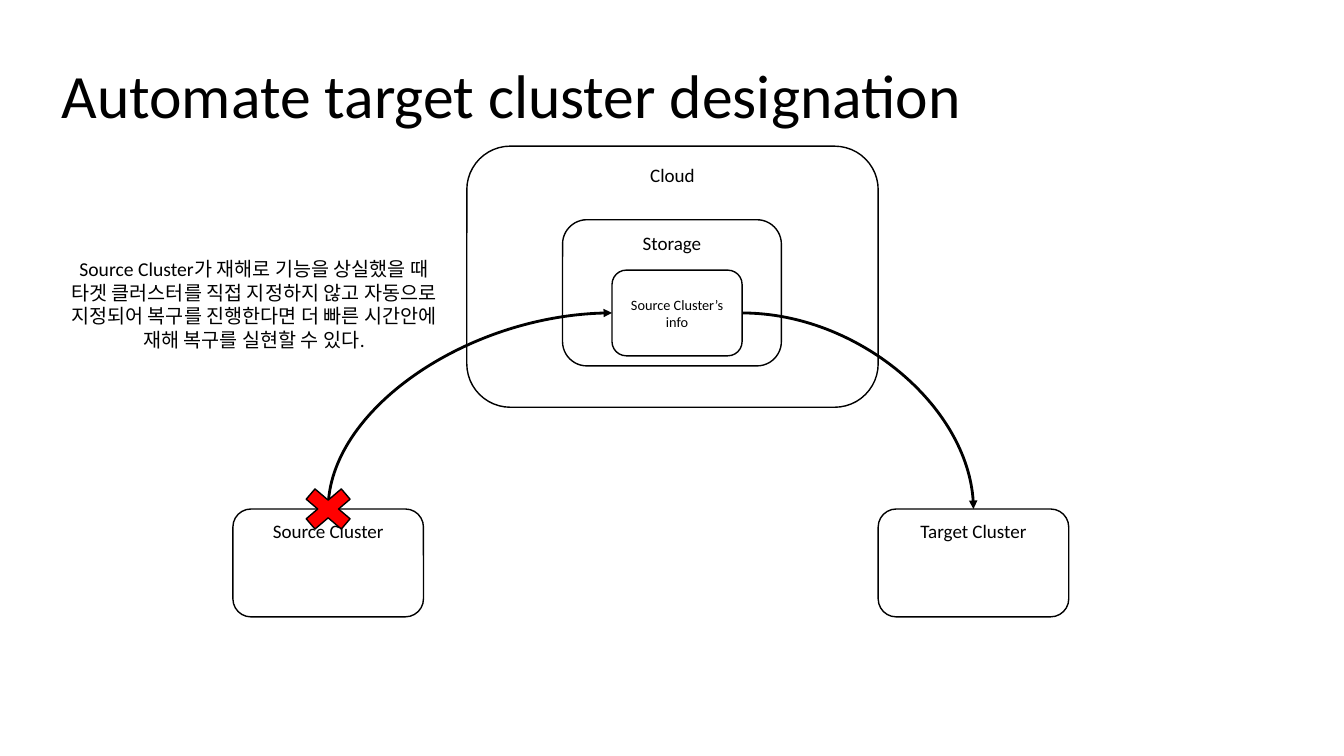
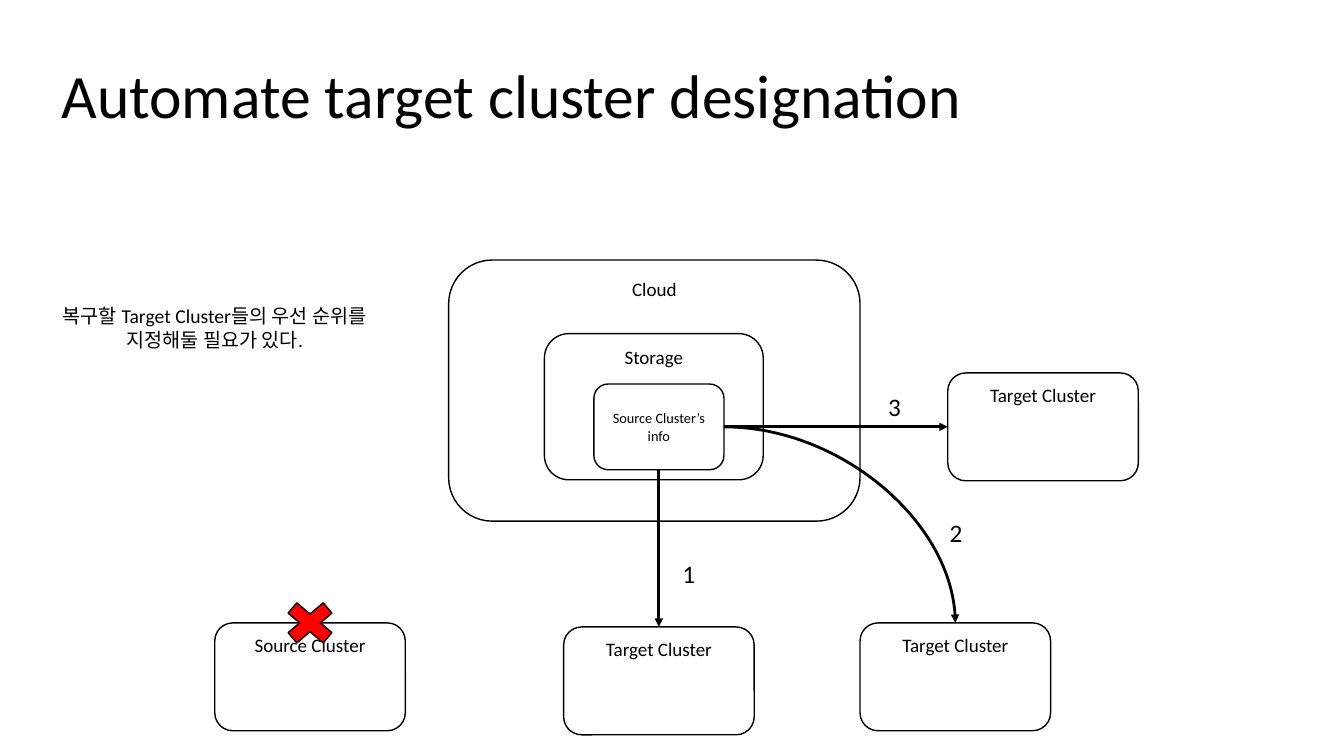
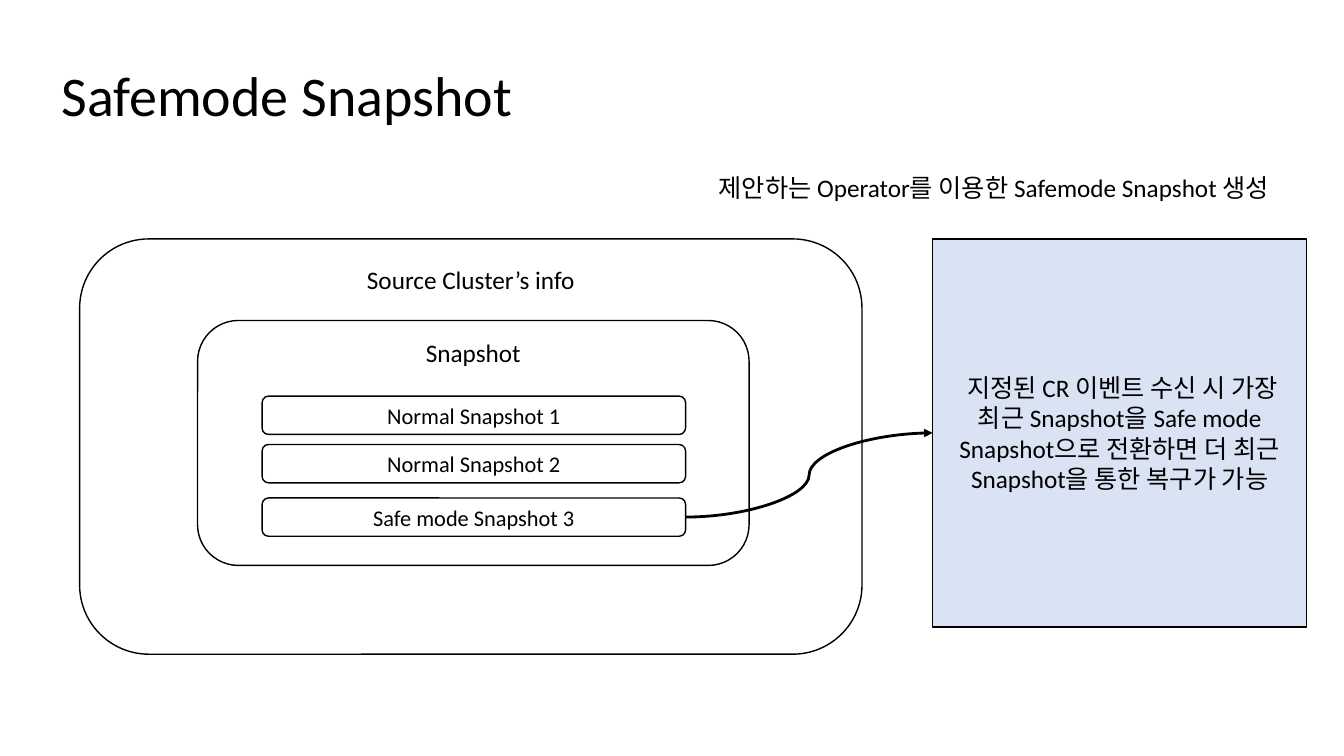
from dataclasses import dataclass

from lxml.etree import SubElement
from pptx import Presentation
from pptx.dml.color import RGBColor
from pptx.enum.shapes import MSO_CONNECTOR as Link, MSO_SHAPE as Shape
from pptx.enum.text import MSO_ANCHOR as Anchor, MSO_AUTO_SIZE as AutoSize, PP_ALIGN as Align
from pptx.oxml.ns import qn
from pptx.util import Inches, Pt


@dataclass(frozen=True)
class Theme:
    """Colours, font, type sizes and line widths of the deck."""
    ink: RGBColor = RGBColor(0, 0, 0)
    paper: RGBColor = RGBColor(255, 255, 255)
    alert: RGBColor = RGBColor(255, 0, 0)
    panel: RGBColor = RGBColor(0xDA, 0xE3, 0xF3)
    font: str = "Calibri"
    title: float = 44
    title_small: float = 40
    large: float = 18
    item: float = 16
    note: float = 14
    label: float = 13.6
    small: float = 10.2
    outline: float = 1
    arrow: float = 2


THEME = Theme()
TOP, LEFT, BOTTOM, RIGHT = range(4)  # connection sites of a rectangle

# Lengths in inches
TITLE_AREA = (0.51, 0.25, 11.5, 1.45)
CLUSTER_SIZE = (1.89, 1.07)
CROSS_SIZE = (0.67, 0.57)

DESIGNATION_TITLE = "Automate target cluster designation"
SOURCE, TARGET, INFO = "Source Cluster", "Target Cluster", "Source Cluster’s info"
SOURCE_AT, TARGET_AT = (2.31, 5.05), (8.71, 5.05)
CLOUD_LAYERS = [  # text, area, format
    ("Cloud", (4.63, 1.45, 4.08, 2.59), {}),
    ("Storage", (5.58, 2.18, 2.17, 1.45), {}),
    (INFO, (6.07, 2.68, 1.29, 0.85), {"size": THEME.small, "anchor": Anchor.MIDDLE}),
]

AUTOMATIC_NOTE = [
    "Source Cluster가 재해로 기능을 상실했을 때",
    "타겟 클러스터를 직접 지정하지 않고 자동으로",
    "지정되어 복구를 진행한다면 더 빠른 시간안에",
    "재해 복구를 실현할 수 있다.",
]
AUTOMATIC_NOTE_AREA = (0.42, 2.5, 4.2, 1.04)

PRIORITY_SHIFT = (-0.18, 1.13)
PRIORITY_NOTE = ["복구할 Target Cluster들의 우선 순위를", "지정해둘 필요가 있다."]
PRIORITY_NOTE_AREA = (0.43, 2.97, 3.4, 0.57)
FIRST_TARGET_AT, THIRD_TARGET_AT = (5.59, 6.22), (9.4, 3.7)
PRIORITIES = [("1", (6.67, 5.49)), ("2", (9.32, 5.08)), ("3", (8.71, 3.83))]
PRIORITY_SIZE = (0.33, 0.4)

SNAPSHOT_TITLE = "Safemode Snapshot"
SNAPSHOT_LAYERS = [(INFO, (0.79, 2.37, 7.76, 4.12)), ("Snapshot", (1.96, 3.18, 5.47, 2.43))]
SNAPSHOTS = [("Normal Snapshot 1", 3.93), ("Normal Snapshot 2", 4.41),
             ("Safe mode Snapshot 3", 4.94)]
SNAPSHOT_LEFT, SNAPSHOT_SIZE = 2.6, (4.2, 0.38)
CONVERSION = (" 지정된 CR 이벤트 수신 시 가장 최근 Snapshot을 Safe mode Snapshot으로 "
              "전환하면 더 최근 Snapshot을 통한 복구가 가능")
CONVERSION_AREA = (9.25, 2.37, 3.71, 3.85)
OPERATOR_NOTE = "제안하는 Operator를 이용한 Safemode Snapshot 생성"
OPERATOR_NOTE_AREA = (7.03, 1.66, 5.92, 0.4)


def inches(lengths):
    """Turn numbers into lengths."""
    return [Inches(length) for length in lengths]


def write(frame, lines, *, size, align=Align.CENTER, anchor=Anchor.TOP, wrap=True,
          fit=AutoSize.NONE, spacing=None):
    """Fill a text frame, one paragraph for each line."""
    frame.word_wrap, frame.auto_size, frame.vertical_anchor = wrap, fit, anchor
    for index, line in enumerate([lines] if isinstance(lines, str) else lines):
        paragraph = frame.add_paragraph() if index else frame.paragraphs[0]
        paragraph.alignment, paragraph.line_spacing = align, spacing
        run = paragraph.add_run()
        run.text = line
        run.font.size, run.font.name = Pt(size), THEME.font
        run.font.color.rgb = THEME.ink


def add_titled_slide(deck, title, size):
    """Add a title-only slide with the shared title style."""
    slide = deck.slides.add_slide(deck.slide_layouts[5])
    heading = slide.shapes.title
    heading.left, heading.top, heading.width, heading.height = inches(TITLE_AREA)
    write(heading.text_frame, title, size=size, align=Align.LEFT,
          anchor=Anchor.MIDDLE, spacing=0.9)
    return slide


def add_box(slide, text, area, *, kind=Shape.ROUNDED_RECTANGLE, fill=THEME.paper,
            size=THEME.label, **text_format):
    """Add an outlined shape, with text if there is any."""
    box = slide.shapes.add_shape(kind, *inches(area))
    box.shadow.inherit = False
    box.fill.solid()
    box.fill.fore_color.rgb = fill
    box.line.color.rgb, box.line.width = THEME.ink, Pt(THEME.outline)
    if text:
        write(box.text_frame, text, size=size, **text_format)
    return box


def add_note(slide, lines, area, *, wrap=False, **text_format):
    """Add free text that sizes its own box."""
    note = slide.shapes.add_textbox(*inches(area))
    write(note.text_frame, lines, wrap=wrap, fit=AutoSize.SHAPE_TO_FIT_TEXT, **text_format)


def add_arrow(slide, start, start_site, end, end_site, kind=Link.STRAIGHT, quarter=False):
    """Join two boxes with an arrow; quarter makes the curve a single bend."""
    arrow = slide.shapes.add_connector(kind, 0, 0, 0, 0)
    arrow.begin_connect(start, start_site)
    arrow.end_connect(end, end_site)
    arrow.line.color.rgb, arrow.line.width = THEME.ink, Pt(THEME.arrow)
    properties = arrow.element.spPr
    SubElement(properties.find(qn("a:ln")), qn("a:tailEnd"), type="triangle")
    SubElement(properties, qn("a:effectLst"))
    if quarter:
        properties.find(qn("a:prstGeom")).set("prst", "curvedConnector2")
        if start_site == TOP:
            turn_upward(arrow)


def turn_upward(arrow):
    """Turn a quarter curve so that it leaves upward and arrives rightward."""
    shift = (arrow.width - arrow.height) // 2
    arrow.left, arrow.top = arrow.left + shift, arrow.top - shift
    arrow.width, arrow.height = arrow.height, arrow.width
    frame = arrow.element.spPr.find(qn("a:xfrm"))
    for name, value in (("rot", "5400000"), ("flipH", "1"), ("flipV", "1")):
        frame.set(name, value)


def add_cluster(slide, name, at):
    """Add a cluster box."""
    return add_box(slide, name, (*at, *CLUSTER_SIZE))


def add_cross(slide, at):
    """Mark the cluster at this place as lost, on the middle of its top edge."""
    width, height = CROSS_SIZE
    left = at[0] + (CLUSTER_SIZE[0] - width) / 2
    add_box(slide, "", (left, at[1] - height / 2, width, height),
            kind=Shape.MATH_MULTIPLY, fill=THEME.alert)


def add_recovery(deck, note, note_area, shift=(0, 0), report=False):
    """Add a slide on which stored information leads from a lost source to a target."""
    slide = add_titled_slide(deck, DESIGNATION_TITLE, THEME.title)
    dx, dy = shift
    source_at = (SOURCE_AT[0] + dx, SOURCE_AT[1] + dy)
    source = add_cluster(slide, SOURCE, source_at)
    target = add_cluster(slide, TARGET, (TARGET_AT[0] + dx, TARGET_AT[1] + dy))
    for text, (left, top, width, height), text_format in CLOUD_LAYERS:
        info = add_box(slide, text, (left + dx, top + dy, width, height), **text_format)
    add_arrow(slide, info, RIGHT, target, TOP, Link.CURVE, quarter=True)
    if report:
        add_arrow(slide, source, TOP, info, LEFT, Link.CURVE, quarter=True)
    add_note(slide, note, note_area, size=THEME.note)
    add_cross(slide, source_at)
    return slide, info


def build_priorities(deck):
    """Add the slide with three ranked targets."""
    slide, info = add_recovery(deck, PRIORITY_NOTE, PRIORITY_NOTE_AREA, PRIORITY_SHIFT)
    first = add_cluster(slide, TARGET, FIRST_TARGET_AT)
    third = add_cluster(slide, TARGET, THIRD_TARGET_AT)
    add_arrow(slide, info, BOTTOM, first, TOP)
    add_arrow(slide, info, RIGHT, third, LEFT)
    for rank, at in PRIORITIES:
        add_note(slide, rank, (*at, *PRIORITY_SIZE), size=THEME.large, align=Align.LEFT)


def build_snapshots(deck):
    """Add the slide on the safe mode snapshot."""
    slide = add_titled_slide(deck, SNAPSHOT_TITLE, THEME.title_small)
    for text, area in SNAPSHOT_LAYERS:
        add_box(slide, text, area, size=THEME.large)
    for text, top in SNAPSHOTS:
        safe_snapshot = add_box(slide, text, (SNAPSHOT_LEFT, top, *SNAPSHOT_SIZE),
                                size=THEME.item, anchor=Anchor.MIDDLE)
    conversion = add_box(slide, CONVERSION, CONVERSION_AREA, kind=Shape.RECTANGLE,
                         fill=THEME.panel, size=THEME.large, anchor=Anchor.MIDDLE)
    add_arrow(slide, safe_snapshot, RIGHT, conversion, LEFT, Link.CURVE)
    add_note(slide, OPERATOR_NOTE, OPERATOR_NOTE_AREA, size=THEME.large,
             align=Align.LEFT, wrap=True)


def main():
    """Build and save the deck."""
    deck = Presentation()
    deck.slide_width, deck.slide_height = inches((13.33, 7.5))
    add_recovery(deck, AUTOMATIC_NOTE, AUTOMATIC_NOTE_AREA, report=True)
    build_priorities(deck)
    build_snapshots(deck)
    deck.save("out.pptx")


main()
